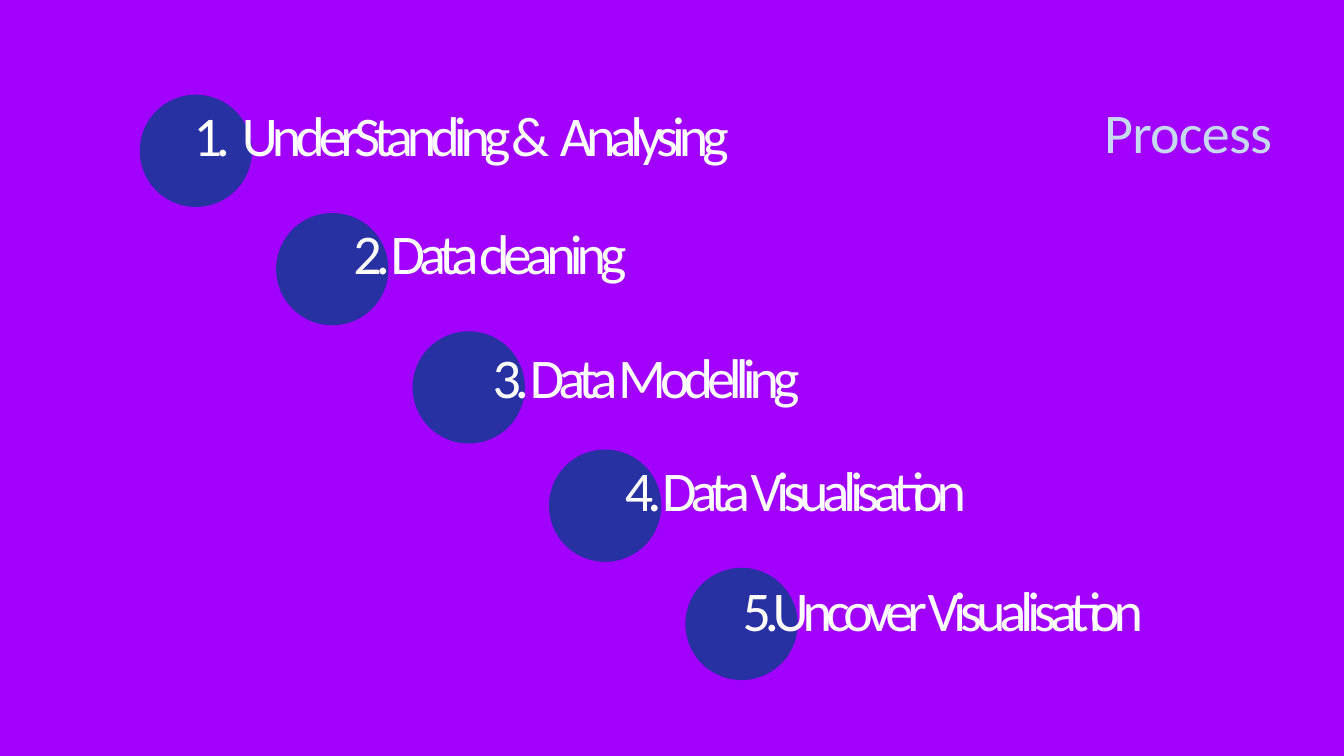
from dataclasses import dataclass

from lxml import etree
from pptx import Presentation
from pptx import util as u
from pptx.dml.color import RGBColor
from pptx.enum import shapes, text
from pptx.oxml import ns


@dataclass(frozen=True)
class Theme:
    background: str = "A100FF"
    circle: str = "2831A2"
    title: str = "C6D9F1"
    label: str = "FFFFFF"
    font: str = "Calibri"
    size: float = 60
    title_leading: float = 96
    label_leading: float = 71.9
    title_tracking: float = -0.8
    label_tracking: float = -6.4


THEME = Theme()
WIDTH, HEIGHT = 20, 11.25
TITLE = ("Process", (11.67, 1.12, 7.26, 1.23))
LABEL_HEIGHT = 1.01
STEPS = [
    {"words": "1.\tUnderStanding &\tAnalysing", "left": 2.88, "top": 1.5, "width": 12.71, "tabs": (0.72, 5.45)},
    {"words": "2. Data cleaning", "left": 5.26, "top": 3.26, "width": 11.17},
    {"words": "3. Data Modelling", "left": 7.33, "top": 5.1, "width": 11.59},
    {"words": "4. Data Visualisation", "left": 9.3, "top": 6.78, "width": 8.87},
    {"words": "5.Uncover Visualisation", "left": 11.05, "top": 8.56, "width": 8.95},
]
CIRCLE = {"left": 2.08, "top": 1.41, "size": 1.67, "across": 2.03, "down": 1.76}


def place(shape, left, top, width, height):
    shape.left, shape.top = u.Inches(left), u.Inches(top)
    shape.width, shape.height = u.Inches(width), u.Inches(height)


def write(shape, words, *, color, leading, tracking, align=text.PP_ALIGN.LEFT, tabs=()):
    frame = shape.text_frame
    frame.margin_left = frame.margin_right = frame.margin_top = frame.margin_bottom = 0
    frame.word_wrap = True
    frame.auto_size = text.MSO_AUTO_SIZE.SHAPE_TO_FIT_TEXT
    frame.vertical_anchor = text.MSO_ANCHOR.TOP
    paragraph = frame.paragraphs[0]
    if tabs:
        stops = etree.SubElement(paragraph._p.get_or_add_pPr(), ns.qn("a:tabLst"))
        for position in tabs:
            etree.SubElement(stops, ns.qn("a:tab"), pos=str(u.Inches(position)), algn="l")
    paragraph.alignment = align
    paragraph.line_spacing = u.Pt(leading)
    paragraph.space_before = u.Pt(0)
    run = paragraph.add_run()
    run.text = words
    run.font.name = THEME.font
    run.font.size = u.Pt(THEME.size)
    run.font.color.rgb = RGBColor.from_string(color)
    run.font._element.set("spc", str(round(tracking * 100)))


def add_circle(slide, index):
    size = u.Inches(CIRCLE["size"])
    left = u.Inches(CIRCLE["left"] + index * CIRCLE["across"])
    top = u.Inches(CIRCLE["top"] + index * CIRCLE["down"])
    circle = slide.shapes.add_shape(shapes.MSO_SHAPE.OVAL, left, top, size, size)
    circle.shadow.inherit = False
    circle.fill.solid()
    circle.fill.fore_color.rgb = RGBColor.from_string(THEME.circle)
    circle.line.fill.background()


def add_label(slide, words, left, top, width, tabs=()):
    label = slide.shapes.add_textbox(0, 0, 0, 0)
    write(label, words, color=THEME.label, leading=THEME.label_leading,
          tracking=THEME.label_tracking, tabs=tabs)
    place(label, left, top, width, LABEL_HEIGHT)


def main():
    presentation = Presentation()
    presentation.slide_width = u.Inches(WIDTH)
    presentation.slide_height = u.Inches(HEIGHT)
    slide = presentation.slides.add_slide(presentation.slide_layouts.get_by_name("Title Only"))
    slide.background.fill.solid()
    slide.background.fill.fore_color.rgb = RGBColor.from_string(THEME.background)

    words, box = TITLE
    write(slide.shapes.title, words, color=THEME.title, leading=THEME.title_leading,
          tracking=THEME.title_tracking, align=text.PP_ALIGN.RIGHT)
    place(slide.shapes.title, *box)

    for index, step in enumerate(STEPS):
        add_circle(slide, index)
        add_label(slide, **step)
    presentation.save("out.pptx")


if __name__ == "__main__":
    main()
